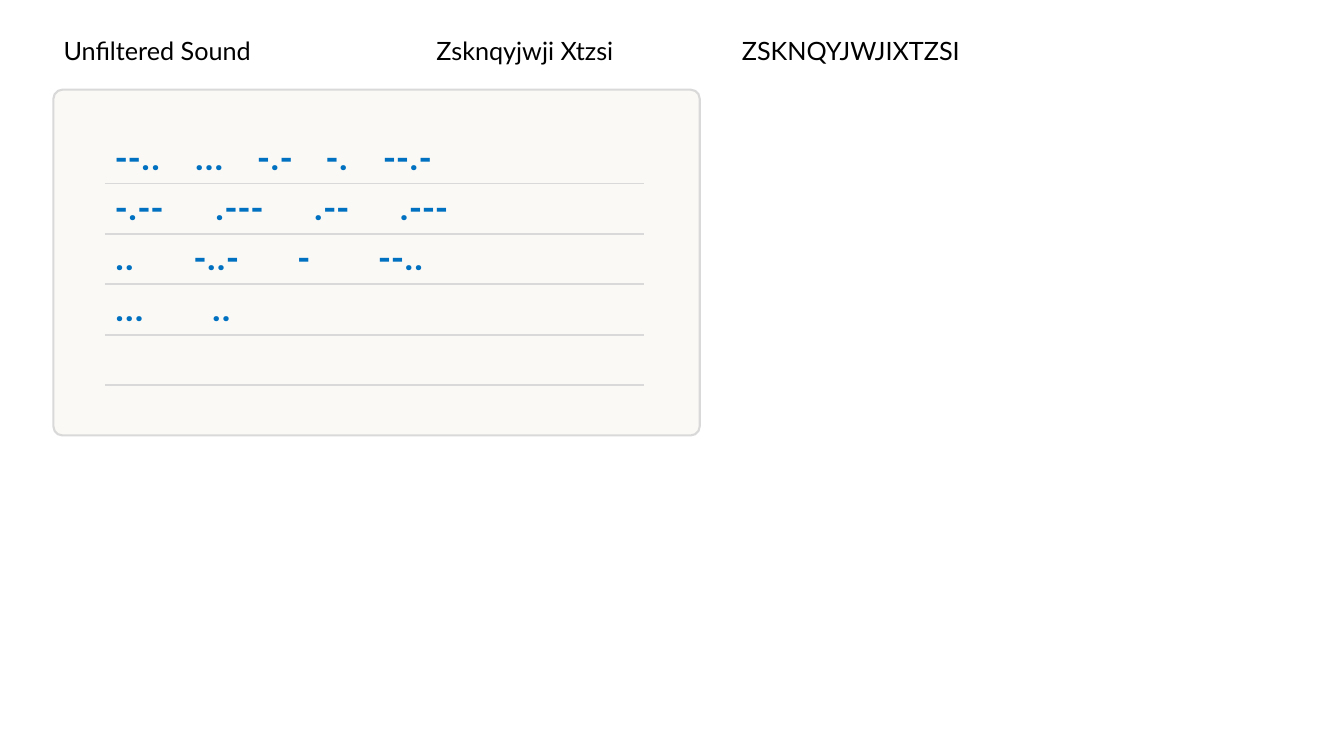
from lxml import etree
from pptx import Presentation
from pptx.dml.color import RGBColor
from pptx.enum import shapes, text
from pptx.oxml import ns
from pptx.util import Inches, Pt

BLACK = RGBColor(0x00, 0x00, 0x00)
BLUE = RGBColor(0x00, 0x70, 0xC0)
GREY = RGBColor(0xD9, 0xD9, 0xD9)
CREAM = RGBColor(0xFA, 0xF9, 0xF6)
PLAIN_TABLE = "{2D5ABB26-0587-4C30-8999-92F81FD0307C}"

MORSE_LINES = [
    (["--..", "...", "-.-", "-.", "--.-"], [0.79, 1.41, 2.09, 2.66]),
    (["-.--", ".---", ".--", ".---"], [0.99, 1.97, 2.82]),
    (["..", "-..-", "-", "--.."], [0.78, 1.81, 2.61]),
    (["...", ".."], [0.96]),
    ([], []),
]


def format_heading(shape, words, left, width):
    """Place a heading and give it its text and font."""
    shape.left, shape.top = Inches(left), Inches(0.3)
    shape.width, shape.height = Inches(width), Inches(0.4)
    frame = shape.text_frame
    frame.text = words
    frame.word_wrap = True
    frame.auto_size = text.MSO_AUTO_SIZE.NONE
    frame.vertical_anchor = text.MSO_ANCHOR.TOP
    paragraph = frame.paragraphs[0]
    paragraph.alignment = text.PP_ALIGN.LEFT
    paragraph.font.name = "Lato"
    paragraph.font.size = Pt(18)
    paragraph.font.color.rgb = BLACK


def add_heading(slide, words, left, width):
    """Add a further heading beside the title."""
    box = slide.shapes.add_textbox(0, 0, 0, 0)
    format_heading(box, words, left, width)


def add_card(slide):
    """Add the rounded card behind the Morse lines."""
    card = slide.shapes.add_shape(
        shapes.MSO_SHAPE.ROUNDED_RECTANGLE,
        Inches(0.53), Inches(0.89), Inches(6.41), Inches(3.43))
    card.adjustments[0] = 0.026
    card.shadow.inherit = False
    card.fill.solid()
    card.fill.fore_color.rgb = CREAM
    card.line.color.rgb = GREY
    card.line.width = Pt(1.5)


def add_border(cell, side):
    """Draw a grey border on one side of a cell."""
    properties = cell._tc.get_or_add_tcPr()
    line = etree.SubElement(properties, ns.qn(f"a:{side}"), w=str(Pt(1.5)))
    fill = etree.SubElement(line, ns.qn("a:solidFill"))
    etree.SubElement(fill, ns.qn("a:srgbClr"), val=str(GREY))


def write_morse(cell, codes, stops):
    """Write Morse codes at tab stops along the bottom of a cell."""
    cell.vertical_anchor = text.MSO_ANCHOR.BOTTOM
    paragraph = cell.text_frame.paragraphs[0]
    tabs = etree.SubElement(paragraph._p.get_or_add_pPr(), ns.qn("a:tabLst"))
    for stop in stops:
        etree.SubElement(tabs, ns.qn("a:tab"), pos=str(Inches(stop)), algn="l")
    paragraph.font.name = "Roboto"
    paragraph.font.size = Pt(24)
    paragraph.font.bold = True
    paragraph.font.color.rgb = BLUE
    paragraph.add_run().text = "\t".join(codes)


def add_morse_table(slide):
    """Add the ruled table that holds the Morse lines."""
    frame = slide.shapes.add_table(
        6, 3, Inches(0.6), Inches(1.32), Inches(6.26), Inches(2.9))
    for style in frame.element.iter(ns.qn("a:tableStyleId")):
        style.text = PLAIN_TABLE
    table = frame.table
    table.first_row = table.horz_banding = False
    for column, width in zip(table.columns, [0.44, 5.35, 0.47]):
        column.width = Inches(width)
    for row, height in zip(table.rows, [0.5] * 5 + [0.4]):
        row.height = Inches(height)
    for index, (codes, stops) in enumerate(MORSE_LINES):
        cell = table.cell(index, 1)
        if index:
            add_border(cell, "lnT")
        add_border(cell, "lnB")
        if codes:
            write_morse(cell, codes, stops)
    for cell in table.iter_cells():
        cell.fill.background()
    for column in (0, 2):
        for row in (1, 3):
            table.cell(row, column).merge(table.cell(row + 1, column))
    table.cell(5, 0).merge(table.cell(5, 2))


def main():
    """Build the slide and save it."""
    presentation = Presentation()
    presentation.slide_width = Inches(13.33)
    presentation.slide_height = Inches(7.5)
    slide = presentation.slides.add_slide(presentation.slide_layouts[5])
    format_heading(slide.shapes.title, "Unfiltered Sound", 0.53, 6.67)
    add_card(slide)
    add_morse_table(slide)
    add_heading(slide, "Zsknqyjwji Xtzsi", 4.23, 2.44)
    add_heading(slide, "ZSKNQYJWJIXTZSI", 7.26, 6.67)
    presentation.save("out.pptx")


if __name__ == "__main__":
    main()
